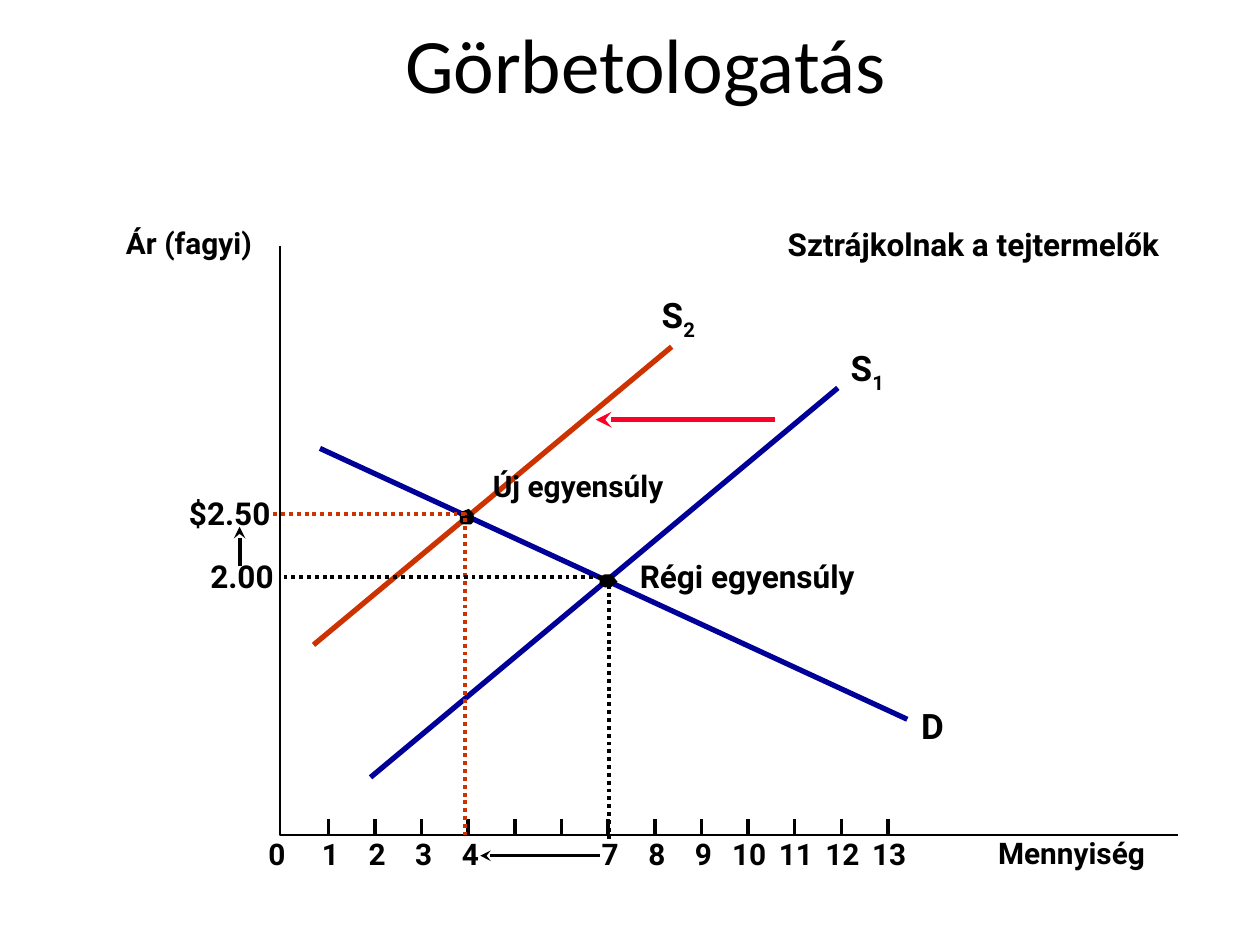
from lxml.etree import SubElement
from pptx import Presentation
from pptx.dml.color import RGBColor
from pptx.enum.dml import MSO_LINE_DASH_STYLE as Dash
from pptx.enum.shapes import MSO_CONNECTOR as Connector
from pptx.enum.text import MSO_ANCHOR as Anchor, MSO_AUTO_SIZE as AutoSize, PP_ALIGN as Align
from pptx.oxml.ns import qn
from pptx.util import Cm, Pt

BLACK = RGBColor(0x00, 0x00, 0x00)
ORANGE = RGBColor(0xCC, 0x33, 0x00)
BLUE = RGBColor(0x00, 0x00, 0x99)
RED = RGBColor(0xFC, 0x01, 0x28)

AXIS_X, AXIS_Y = 5.64, 16.84
UNIT = 0.94

presentation = Presentation()
presentation.slide_width = Cm(25.4)
presentation.slide_height = Cm(19.05)
slide = presentation.slides.add_slide(presentation.slide_layouts[5])

title = slide.shapes.title
title.left, title.top, title.width, title.height = Cm(0.64), Cm(0.2), Cm(24.76), Cm(2.11)
title.text_frame.vertical_anchor = Anchor.MIDDLE
paragraph = title.text_frame.paragraphs[0]
paragraph.alignment = Align.CENTER
run = paragraph.add_run()
run.text = "Görbetologatás"
run.font.name = "Calibri"
run.font.size = Pt(44)
run.font.color.rgb = BLACK


def add_line(start, end, color, width, dash=None, arrow=False):
    line = slide.shapes.add_connector(
        Connector.STRAIGHT, Cm(start[0]), Cm(start[1]), Cm(end[0]), Cm(end[1]))
    line.line.color.rgb = color
    line.line.width = Pt(width)
    if dash:
        line.line.dash_style = dash
    if arrow:
        SubElement(line.line._get_or_add_ln(), qn("a:tailEnd"), type="stealth")
    SubElement(line._element.spPr, qn("a:effectLst"))


def add_label(text, left, top, width, height, size, subscript="",
              alignment=Align.LEFT, spacing=None, wrap=False):
    box = slide.shapes.add_textbox(Cm(left), Cm(top), Cm(width), Cm(height))
    frame = box.text_frame
    frame.margin_left = frame.margin_right = frame.margin_top = frame.margin_bottom = 0
    frame.word_wrap = wrap
    frame.auto_size = AutoSize.SHAPE_TO_FIT_TEXT
    paragraph = frame.paragraphs[0]
    paragraph.alignment = alignment
    if spacing:
        paragraph.line_spacing = spacing
    for part in filter(None, (text, subscript)):
        run = paragraph.add_run()
        run.text = part
        run.font.name = "Roboto"
        run.font.size = Pt(size)
        run.font.bold = True
        run.font.color.rgb = BLACK
        if part == subscript:
            run._r.get_or_add_rPr().set("baseline", "-25000")


add_line((13.54, 6.99), (6.32, 13), ORANGE, 3)
for number in range(1, 14):
    tick_x = AXIS_X + UNIT * number + 0.04
    add_line((tick_x, 16.51), (tick_x, AXIS_Y), BLACK, 2)
add_line((16.89, 7.82), (7.47, 15.67), BLUE, 3)
add_line((6.45, 9.04), (18.29, 14.5), BLUE, 3)

old_dot = [(12.27, 11.84), (12.32, 11.84), (12.37, 11.79), (12.45, 11.73),
           (12.37, 11.63), (12.32, 11.58), (12.27, 11.58), (12.19, 11.58),
           (12.09, 11.63), (12.09, 11.73), (12.09, 11.79), (12.19, 11.84)]
new_dot = [(9.45, 10.57), (9.5, 10.57), (9.55, 10.52), (9.55, 10.41),
           (9.55, 10.36), (9.5, 10.31), (9.45, 10.26), (9.32, 10.31),
           (9.27, 10.36), (9.27, 10.41), (9.27, 10.52), (9.32, 10.57)]
axes = [(AXIS_X, 4.95), (AXIS_X, AXIS_Y), (23.75, AXIS_Y)]
new_guides = [(5.51, 10.36), (9.37, 10.36), (9.37, AXIS_Y)]

for points, color, width, dash in [
    (old_dot, BLACK, None, None),
    (axes, BLACK, 1, None),
    (new_dot, BLACK, None, None),
    (new_guides, ORANGE, 2.25, Dash.ROUND_DOT),
]:
    corners = [(Cm(x), Cm(y)) for x, y in points]
    builder = slide.shapes.build_freeform(*corners[0])
    builder.add_line_segments(corners[1:], close=width is None)
    shape = builder.convert_to_shape()
    shape.shadow.inherit = False
    if width is None:
        shape.fill.solid()
        shape.fill.fore_color.rgb = color
        shape.line.fill.background()
    else:
        shape.fill.background()
        shape.line.color.rgb = color
        shape.line.width = Pt(width)
        if dash:
            shape.line.dash_style = dash

add_line((12.27, 11.63), (12.27, 16.94), BLACK, 2.25, dash=Dash.ROUND_DOT)
add_line((12.27, 11.63), (5.72, 11.63), BLACK, 2.25, dash=Dash.ROUND_DOT)
add_line((15.62, 8.46), (12.01, 8.46), RED, 3, arrow=True)
add_line((4.83, 11.4), (4.83, 10.62), BLACK, 2.25, arrow=True)
add_line((12.09, 17.25), (9.68, 17.25), BLACK, 2, arrow=True)

add_label("0", 5.41, AXIS_Y, 0.38, 0.71, 17)
for number in (1, 2, 3, 4, 7, 8, 9, 10, 11, 12, 13):
    width = 0.38 * len(str(number))
    center = AXIS_X + UNIT * number + 0.1
    add_label(str(number), center - width / 2, AXIS_Y, width, 0.71, 17)

add_label("S", 13.34, 5.92, 1.27, 0.84, 20, subscript="2", wrap=True)
add_label("S", 17.15, 6.99, 0.76, 0.86, 20, subscript="1")
add_label("D", 18.57, 14.2, 0.53, 0.86, 20)
add_label("$2.50", 3.81, 9.96, 1.83, 0.76, 18)
add_label("2.00", 4.24, 11.23, 1.42, 0.76, 18)
add_label("Régi egyensúly", 12.9, 11.23, 4.88, 0.76, 18)
add_label("Új egyensúly", 9.7, 9.53, 3.91, 0.61, 17, alignment=Align.CENTER, spacing=0.85)
add_label("Ár (fagyi)", 2.16, 4.65, 2.92, 0.61, 17, alignment=Align.RIGHT, spacing=0.85)
add_label("Mennyiség", 20.12, 16.94, 3.25, 0.61, 17, spacing=0.85)
add_label("Sztrájkolnak a tejtermelők", 15.88, 4.65, 8.79, 0.66, 18, spacing=0.85)

presentation.save("out.pptx")
